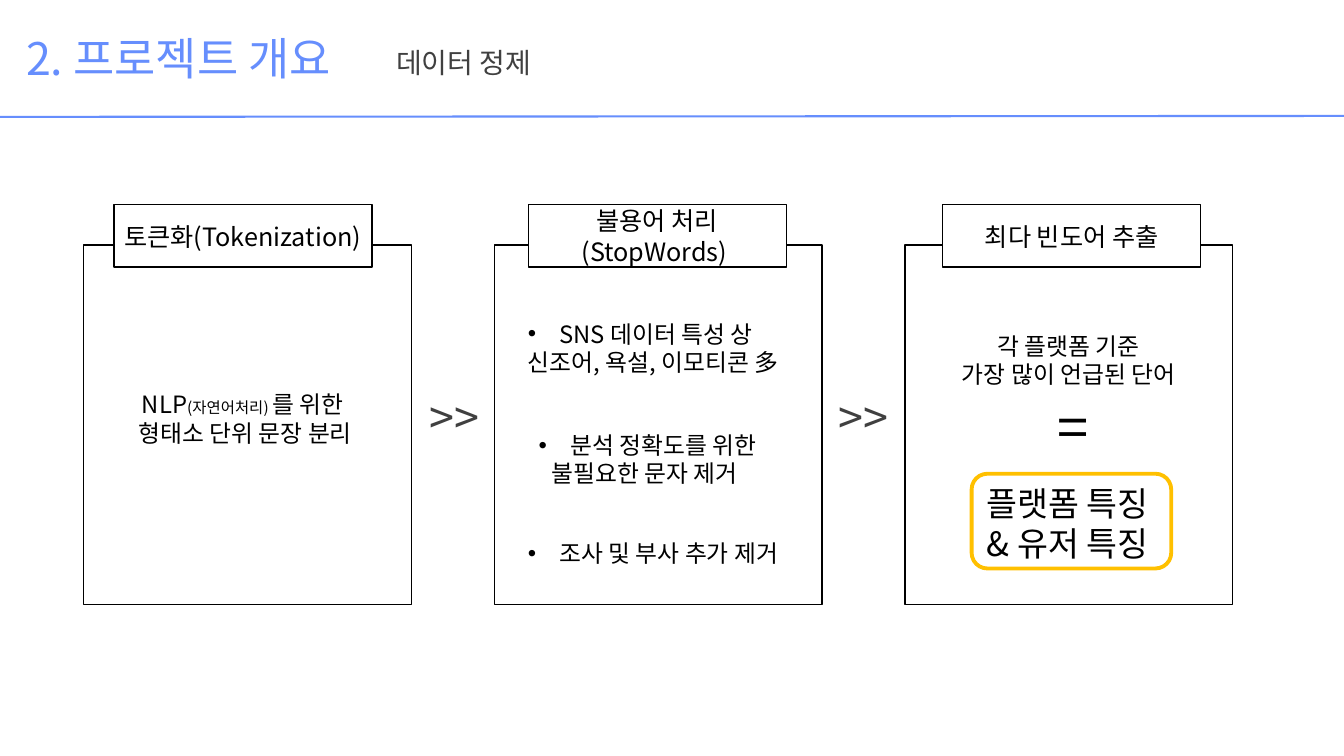
"""Builds the data-cleaning slide: three process cards joined by arrows."""
from lxml import etree
from pptx import Presentation
from pptx.dml.color import RGBColor
from pptx.enum.shapes import MSO_CONNECTOR, MSO_SHAPE
from pptx.enum.text import MSO_ANCHOR, MSO_AUTO_SIZE, PP_ALIGN
from pptx.oxml.ns import qn
from pptx.util import Pt

RECT, ROUNDED = MSO_SHAPE.RECTANGLE, MSO_SHAPE.ROUNDED_RECTANGLE
STRAIGHT = MSO_CONNECTOR.STRAIGHT
LEFT, CENTER = PP_ALIGN.LEFT, PP_ALIGN.CENTER
MIDDLE = MSO_ANCHOR.MIDDLE
GROW = MSO_AUTO_SIZE.SHAPE_TO_FIT_TEXT

THEME = {
    "font": "Noto Sans CJK KR",
    "blue": "668EFD", "gray": "404040", "black": "000000",
    "white": "FFFFFF", "gold": "FFC000",
    "title": 32, "subtitle": 20, "arrow": 32, "header": 18,
    "body": 17, "small": 11, "equals": 40, "result": 24,
}

TITLE = "2. 프로젝트 개요"
SUBTITLE = "데이터 정제"
STEPS = ["토큰화(Tokenization)", "불용어 처리(StopWords) ", "최다 빈도어 추출"]
ARROW = ">>"
TOKENIZING = [[("NLP", "body"), ("(자연어처리) ", "small"), ("를 위한 ", "body")],
              "형태소 단위 문장 분리"]
STOPWORDS = [
    ((370, 224.5, 214.5, 48), LEFT, ["SNS 데이터 특성 상", "신조어, 욕설, 이모티콘 多"]),
    ((345.5, 304, 234, 69), CENTER, ["분석 정확도를 위한", "불필요한 문자 제거 "]),
    ((370, 381.5, 214.5, 28), LEFT, ["조사 및 부사 추가 제거"]),
]
FREQUENT = ["각 플랫폼 기준 ", "가장 많이 언급된 단어 "]
EQUALS = "="
RESULT = ["플랫폼 특징 ", "& 유저 특징 "]

CARD, CARD_PITCH = (59.75, 175, 234, 257), 293.4
HEADER, HEADER_PITCH = (81.3, 146.2, 184.4, 44.6), 296
ARROW_BOX, ARROW_PITCH = (299.5, 275, 62, 46), 292.5
BULLET_INDENT = 22.5


def color(name):
    return RGBColor.from_string(THEME[name])


def points(box):
    return [Pt(value) for value in box]


def shifted(box, distance):
    return (box[0] + distance, *box[1:])


def add_bullet(paragraph):
    properties = paragraph._p.get_or_add_pPr()
    properties.set("marL", str(Pt(BULLET_INDENT)))
    properties.set("indent", str(-Pt(BULLET_INDENT)))
    font = etree.SubElement(properties, qn("a:buFont"))
    font.set("typeface", "Arial")
    etree.SubElement(properties, qn("a:buChar")).set("char", "•")


def write(frame, lines, size, ink="black", align=LEFT, bulleted=False):
    for index, line in enumerate(lines):
        paragraph = frame.add_paragraph() if index else frame.paragraphs[0]
        paragraph.alignment = align
        if bulleted and index == 0:
            add_bullet(paragraph)
        pieces = [(line, size)] if isinstance(line, str) else line
        for words, piece_size in pieces:
            run = paragraph.add_run()
            run.text = words
            look = {"name": THEME["font"], "size": Pt(THEME[piece_size])}
            for key, value in look.items():
                setattr(run.font, key, value)
            run.font.color.rgb = color(ink)
            east_asian = etree.SubElement(run._r.get_or_add_rPr(), qn("a:ea"))
            east_asian.set("typeface", THEME["font"])


def add_text(slide, box, lines, size, wrap=True, **look):
    frame = slide.shapes.add_textbox(*points(box)).text_frame
    for key, value in {"word_wrap": wrap, "auto_size": GROW}.items():
        setattr(frame, key, value)
    write(frame, lines, size, **look)


def add_panel(slide, box, kind=RECT, edge="black", weight=1):
    panel = slide.shapes.add_shape(kind, *points(box))
    panel.shadow.inherit = False
    panel.fill.solid()
    panel.fill.fore_color.rgb = color("white")
    panel.line.color.rgb = color(edge)
    panel.line.width = Pt(weight)
    return panel


def add_heading(slide):
    rule = slide.shapes.add_connector(STRAIGHT, *points((0, 83.5, 960, 82.8)))
    rule.line.color.rgb = color("blue")
    rule.line.width = Pt(1.5)
    etree.SubElement(rule._element.spPr, qn("a:effectLst"))
    add_text(slide, (11.5, 18.7, 250, 46), [TITLE], "title", wrap=False, ink="blue")
    add_text(slide, (275.8, 28.8, 152, 31.5), [SUBTITLE], "subtitle", ink="gray")


def add_steps(slide):
    for index in range(len(STEPS)):
        add_panel(slide, shifted(CARD, index * CARD_PITCH))
    for index in range(len(STEPS) - 1):
        add_text(slide, shifted(ARROW_BOX, index * ARROW_PITCH), [ARROW], "arrow", ink="gray")
    for index, step in enumerate(STEPS):
        frame = add_panel(slide, shifted(HEADER, index * HEADER_PITCH)).text_frame
        for key, value in {"word_wrap": True, "vertical_anchor": MIDDLE}.items():
            setattr(frame, key, value)
        write(frame, [step], "header", align=CENTER)


def add_details(slide):
    add_text(slide, (21.5, 275, 307.5, 48), TOKENIZING, "body", align=CENTER)
    for box, align, lines in STOPWORDS:
        add_text(slide, box, lines, "body", align=align, bulleted=True)
    add_text(slide, (658, 233.3, 214.5, 48), FREQUENT, "body", align=CENTER)
    add_text(slide, (748, 277.2, 32, 55.5), [EQUALS], "equals")
    add_panel(slide, (694, 338.4, 142.6, 67.7), ROUNDED, "gold", 2.75)
    add_text(slide, (658, 341.3, 214.5, 65.5), RESULT, "result", align=CENTER)


def main():
    deck = Presentation()
    deck.slide_width, deck.slide_height = Pt(960), Pt(540)
    slide = deck.slides.add_slide(deck.slide_layouts[6])
    add_heading(slide)
    add_steps(slide)
    add_details(slide)
    deck.save("out.pptx")


if __name__ == "__main__":
    main()
